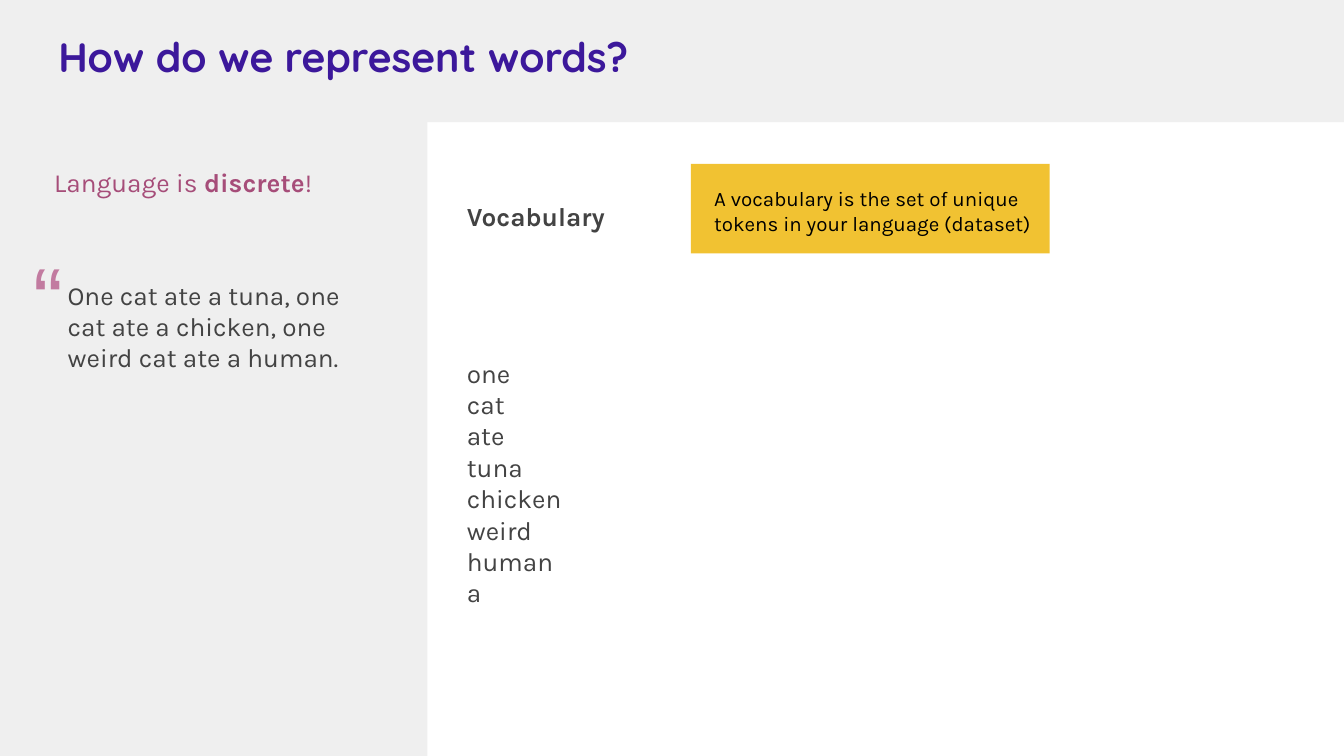
from dataclasses import dataclass

from pptx import Presentation
from pptx.dml.color import RGBColor
from pptx.enum.shapes import MSO_SHAPE
from pptx.enum.text import MSO_AUTO_SIZE
from pptx.util import Emu, Inches, Pt

RECT = MSO_SHAPE.RECTANGLE
GROW = MSO_AUTO_SIZE.SHAPE_TO_FIT_TEXT


@dataclass(frozen=True)
class Theme:
    band: str = "EFEFEF"
    gold: str = "F1C232"
    title: str = "3C189B"
    claim: str = "A64D79"
    mark: str = "C27BA0"
    body: str = "434343"
    note: str = "000000"
    head_font: str = "Quicksand"
    body_font: str = "Karla"
    mark_font: str = "Arial"
    head_size: int = 22
    body_size: int = 14
    note_size: int = 11
    mark_size: int = 48


THEME = Theme()
WIDE = Inches(10)
HIGH = Emu(WIDE * 9 // 16)
CELL = WIDE / 100  # square grid, 100 columns across the slide

# Region boxes in grid cells: left, top, width, height
SIDE = (-0.6, -0.7, 32.4, 57.1)
HEAD = (2.3, -0.7, 101.3, 9.8)
MAIN = (31.8, 9.1, 68.2, 47.15)

# Text formats
BODY = {"name": THEME.body_font, "size": THEME.body_size, "color": THEME.body}
BOLD = BODY | {"bold": True}
CLAIM = BODY | {"color": THEME.claim}
NOTE = BODY | {"size": THEME.note_size, "color": THEME.note}
TITLE = {"name": THEME.head_font, "size": THEME.head_size,
         "color": THEME.title, "bold": True}
MARK = {"name": THEME.mark_font, "size": THEME.mark_size, "color": THEME.mark}

WORDS = ["one", "cat", "ate", "tuna", "chicken", "weird", "human", "a"]


def place(box, part):
    """Turn a part's cells, relative to its box, into slide lengths."""
    left, top, wide, high = part
    cells = (box[0] + left, box[1] + top, wide, high)
    return [Emu(round(n * CELL)) for n in cells]


def style(font, form):
    for key, value in form.items():
        if key == "color":
            font.color.rgb = RGBColor.from_string(value)
        else:
            setattr(font, key, Pt(value) if key == "size" else value)


def add_rect(slide, box, part, color):
    shape = slide.shapes.add_shape(RECT, *place(box, part))
    shape.shadow.inherit = False
    shape.fill.solid()
    shape.fill.fore_color.rgb = RGBColor.from_string(color)
    shape.line.fill.background()


def add_text(slide, box, part, lines, indent=0):
    """Each line is a list of (text, format) runs."""
    frame = slide.shapes.add_textbox(*place(box, part)).text_frame
    form = {"word_wrap": True, "auto_size": GROW}
    form |= {f"margin_{side}": Inches(0.1)
             for side in ("left", "top", "right", "bottom")}
    for key, value in form.items():
        setattr(frame, key, value)
    for i, line in enumerate(lines):
        para = frame.add_paragraph() if i else frame.paragraphs[0]
        if indent:
            props = para._p.get_or_add_pPr()
            props.set("marL", str(Inches(indent)))
            props.set("indent", "0")
        for text, look in line:
            run = para.add_run()
            run.text = text
            style(run.font, look)
    return frame


def draw_side(slide, box):
    # Grey column
    add_rect(slide, box, (0, 0, *box[2:]), THEME.band)
    # Claim
    add_text(slide, box, (3.65, 12.1, 25.1, 4.4),
             [[("Language is ", CLAIM), ("discrete", CLAIM | {"bold": True}),
               ("!", CLAIM)]])
    # Quoted sentence and its mark
    quote = "One cat ate a tuna, one cat ate a chicken, one weird cat ate a human."
    add_text(slide, box, (-0.35, 20.45, 27.7, 9.1), [[(quote, BODY)]], 0.5)
    add_text(slide, box, (-2.9, 17.7, 9.3, 10.1), [[("“", MARK)]], 0.5)


def draw_head(slide, box):
    # Grey band and title
    add_rect(slide, box, (0, 0, *box[2:]), THEME.band)
    add_text(slide, box, (1.05, 2.05, 99.2, 5.7),
             [[("How do we represent words?", TITLE)]])


def draw_main(slide, box):
    # Definition on gold
    add_rect(slide, box, (19.6, 3.1, 26.7, 6.65), THEME.gold)
    note = "A vocabulary is the set of unique tokens in your language (dataset)"
    add_text(slide, box, (20.35, 3.75, 26, 5.7), [[(note, NOTE)]])
    # Word list, set apart from its heading by four lines
    lines = [[("Vocabulary", BOLD)]] + [[(word, BODY)] for word in WORDS]
    frame = add_text(slide, box, (1.95, 4.8, 30.9, 37.4), lines)
    frame.paragraphs[1].space_before = Pt(67.2)


def main():
    deck = Presentation()
    deck.slide_width, deck.slide_height = WIDE, HIGH
    slide = deck.slides.add_slide(deck.slide_layouts[6])
    draw_side(slide, SIDE)
    draw_head(slide, HEAD)
    draw_main(slide, MAIN)
    deck.save("out.pptx")


if __name__ == "__main__":
    main()
